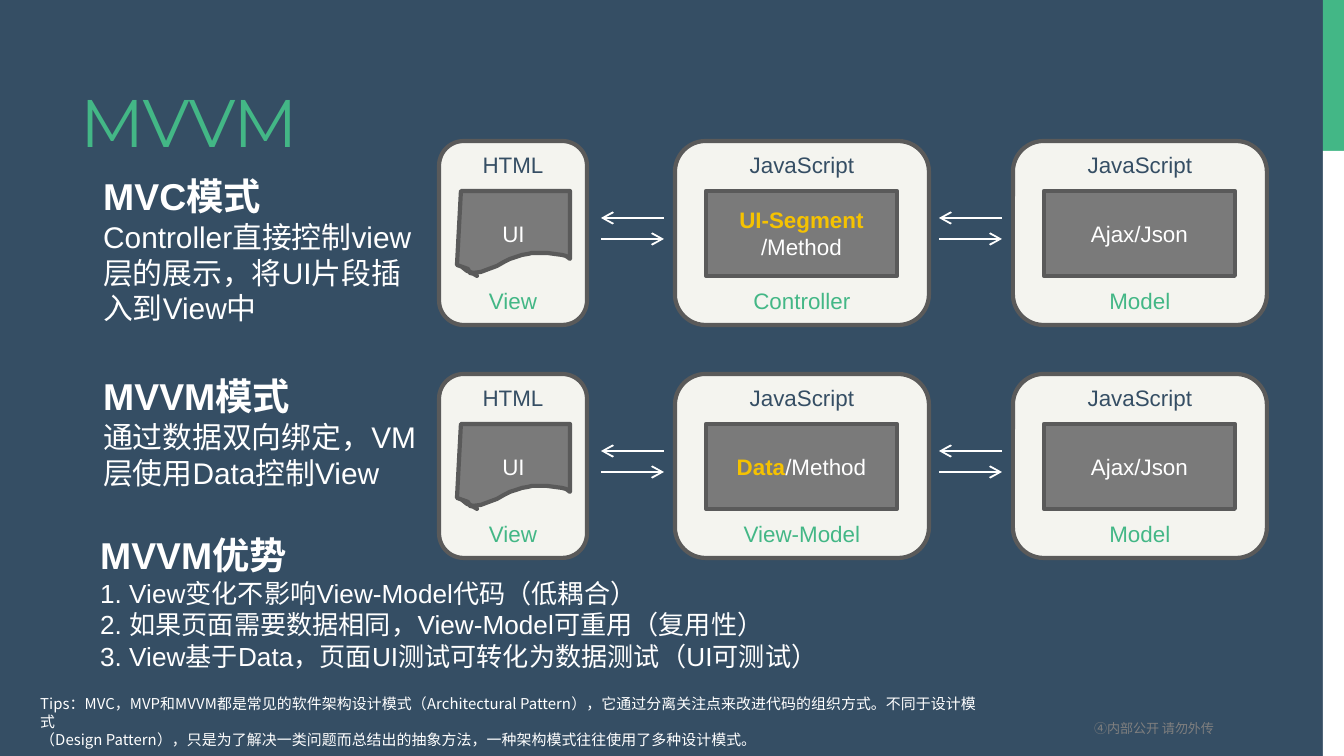
from lxml import etree
from pptx import Presentation
from pptx.dml.color import RGBColor
from pptx.enum.shapes import MSO_CONNECTOR, MSO_SHAPE
from pptx.enum.text import MSO_ANCHOR, MSO_AUTO_SIZE, PP_ALIGN
from pptx.oxml.ns import qn
from pptx.util import Emu, Pt

RECTANGLE = MSO_SHAPE.RECTANGLE
ROUNDED = MSO_SHAPE.ROUNDED_RECTANGLE
STRAIGHT = MSO_CONNECTOR.STRAIGHT
TOP, MIDDLE, BOTTOM = MSO_ANCHOR.TOP, MSO_ANCHOR.MIDDLE, MSO_ANCHOR.BOTTOM
LEFT, CENTER, RIGHT = PP_ALIGN.LEFT, PP_ALIGN.CENTER, PP_ALIGN.RIGHT
GROW = MSO_AUTO_SIZE.SHAPE_TO_FIT_TEXT

SCALE = 9144000 / 1344
CJK_FONT = "Noto Sans CJK SC"
COLORS = {
    "navy": "354E64", "green": "43B786", "white": "FFFFFF", "card": "F4F4EF",
    "panel": "7A7A7A", "border": "5A5A5A", "yellow": "F5C201", "muted": "7F7F7F",
}


def px(value):
    return Emu(round(value * SCALE))


def color(name):
    return RGBColor.from_string(COLORS[name])


class SlideBuilder:
    def __init__(self, slide):
        self.slide = slide
        self.shapes = slide.shapes
        self.base = {"size": 12, "name": "Arial", "color": "white", "bold": False}

    def background(self, fill):
        self.slide.background.fill.solid()
        self.slide.background.fill.fore_color.rgb = color(fill)

    def start_group(self):
        self.shapes = self.slide.shapes.add_group_shape().shapes

    def end_group(self):
        self.shapes = self.slide.shapes

    def fill_text(self, shape, paragraphs, style, frame_format, paragraph_format):
        frame = shape.text_frame
        for key, value in {"word_wrap": True, **frame_format}.items():
            setattr(frame, key, value)
        for index, runs in enumerate(paragraphs):
            paragraph = frame.add_paragraph() if index else frame.paragraphs[0]
            for key, value in paragraph_format.items():
                setattr(paragraph, key, value)
            for text, changes in runs:
                self.add_run(paragraph, text, {**self.base, **style, **changes})

    def add_run(self, paragraph, text, style):
        run = paragraph.add_run()
        run.text = text
        values = {"size": Pt(style["size"]), "name": style["name"], "bold": style["bold"]}
        for key, value in values.items():
            setattr(run.font, key, value)
        run.font.color.rgb = color(style["color"])
        properties = run._r.get_or_add_rPr()
        etree.SubElement(properties, qn("a:ea")).set("typeface", CJK_FONT)
        if "tracking" in style:
            properties.set("spc", str(style["tracking"]))

    def text(self, box, paragraphs, style, frame_format, paragraph_format):
        shape = self.shapes.add_textbox(*map(px, box))
        self.fill_text(shape, paragraphs, style, frame_format, paragraph_format)

    def paint(self, shape, fill, border):
        shape.shadow.inherit = False
        shape.fill.solid()
        shape.fill.fore_color.rgb = color(fill)
        if border:
            shape.line.color.rgb = color(border)
            shape.line.width = Pt(2.25)
        else:
            shape.line.fill.background()

    def label(self, shape, paragraphs):
        self.fill_text(shape, paragraphs, {}, {"vertical_anchor": MIDDLE}, {"alignment": CENTER})

    def block(self, kind, box, fill, border=None):
        shape = self.shapes.add_shape(kind, *map(px, box))
        self.paint(shape, fill, border)
        return shape

    def outline(self, points, fill, border):
        freeform = self.shapes.build_freeform(*points[0], scale=SCALE)
        freeform.add_line_segments(points[1:], close=True)
        shape = freeform.convert_to_shape()
        self.paint(shape, fill, border)
        return shape

    def arrow(self, start, end, y):
        connector = self.shapes.add_connector(STRAIGHT, px(start), px(y), px(end), px(y))
        connector.line.color.rgb = color("white")
        connector.line.width = Pt(1)
        properties = connector._element.spPr
        line = properties.find(qn("a:ln"))
        etree.SubElement(line, qn("a:tailEnd")).set("type", "arrow")
        etree.SubElement(properties, qn("a:effectLst"))

    def card(self, left, top, width, technology, role):
        shape = self.block(ROUNDED, (left, top, width, 184), "card", "border")
        self.label(shape, [[(technology, {"color": "navy"})], [(role, {"color": "green"})]])
        shape.text_frame.paragraphs[1].space_before = Pt(58.5)


TORN_PAGE = [
    (457, 124), (468, 128), (470, 132), (474, 133), (477, 135), (462, 126),
    (467, 130), (473, 132), (481, 131), (489, 128), (497, 125), (504, 121),
    (510, 118), (516, 116), (522, 114), (528, 113), (532, 112), (547, 112),
    (562, 114), (566, 115), (570, 118), (570, 50), (461, 50),
]
ACCENT = {"color": "yellow", "bold": True}
DIAGRAMS = [
    (141, "Controller", [[("UI-Segment", ACCENT)], [("/Method", {})]]),
    (374, "View-Model", [[("Data", ACCENT), ("/Method", {})]]),
]
NOTES = [
    ((90, 167, 350, 168), 16, "MVC模式", ["Controller直接控制view层的展示，将UI片段插入到View中"]),
    ((90, 367, 350, 132), 16, "MVVM模式", ["通过数据双向绑定，VM层使用Data控制View"]),
    ((87, 526, 1148, 153), 14, "MVVM优势", [
        "1. View变化不影响View-Model代码（低耦合）",
        "2. 如果页面需要数据相同，View-Model可重用（复用性）",
        "3. View基于Data，页面UI测试可转化为数据测试（UI可测试）",
    ]),
]
TIPS = [
    "Tips：MVC，MVP和MVVM都是常见的软件架构设计模式（Architectural Pattern），"
    "它通过分离关注点来改进代码的组织方式。不同于设计模式",
    "（Design Pattern），只是为了解决一类问题而总结出的抽象方法，一种架构模式往往使用了多种设计模式。",
]

presentation = Presentation()
presentation.slide_width, presentation.slide_height = px(1344), px(756)
builder = SlideBuilder(presentation.slides.add_slide(presentation.slide_layouts[6]))
builder.background("navy")
builder.block(RECTANGLE, (1323, 0, 21, 151), "green")
builder.block(RECTANGLE, (1323, 151, 21, 605), "white")
builder.text(
    (984, 708, 238, 36), [[("④内部公开 请勿外传", {})]],
    {"size": 7, "name": CJK_FONT, "color": "muted"},
    {"vertical_anchor": MIDDLE, "margin_left": px(8), "margin_right": px(8),
     "margin_top": px(1), "margin_bottom": px(1)},
    {"alignment": RIGHT, "line_spacing": Pt(10.5)},
)
builder.text(
    (67, 17, 851, 151), [[("MVVM", {})]],
    {"size": 36, "name": "Montserrat", "color": "green", "tracking": -60},
    {"vertical_anchor": BOTTOM}, {"alignment": LEFT},
)
growing = {"vertical_anchor": TOP, "auto_size": GROW}
for box, size, heading, lines in NOTES:
    paragraphs = [[(heading, {"size": 20, "bold": True})]] + [[(line, {})] for line in lines]
    builder.text(box, paragraphs, {"size": size}, growing, {"alignment": LEFT})
builder.text((27, 688, 969, 50), [[(line, {})] for line in TIPS],
             {"size": 8, "name": CJK_FONT}, growing, {"alignment": LEFT})

for top, middle_role, middle_content in DIAGRAMS:
    builder.start_group()
    builder.card(439, top, 148, "HTML", "View")
    page = builder.outline([(x, top + y) for x, y in TORN_PAGE], "panel", "border")
    builder.label(page, [[("UI", {})]])
    for left, role, content in [(675, middle_role, middle_content),
                                (1013, "Model", [[("Ajax/Json", {})]])]:
        builder.arrow(left - 74, left - 11, top + 98)
        builder.arrow(left - 11, left - 74, top + 77)
        builder.card(left, top, 254, "JavaScript", role)
        panel = builder.block(RECTANGLE, (left + 31, top + 50, 191, 85), "panel", "border")
        builder.label(panel, content)
    builder.end_group()

presentation.save("out.pptx")
